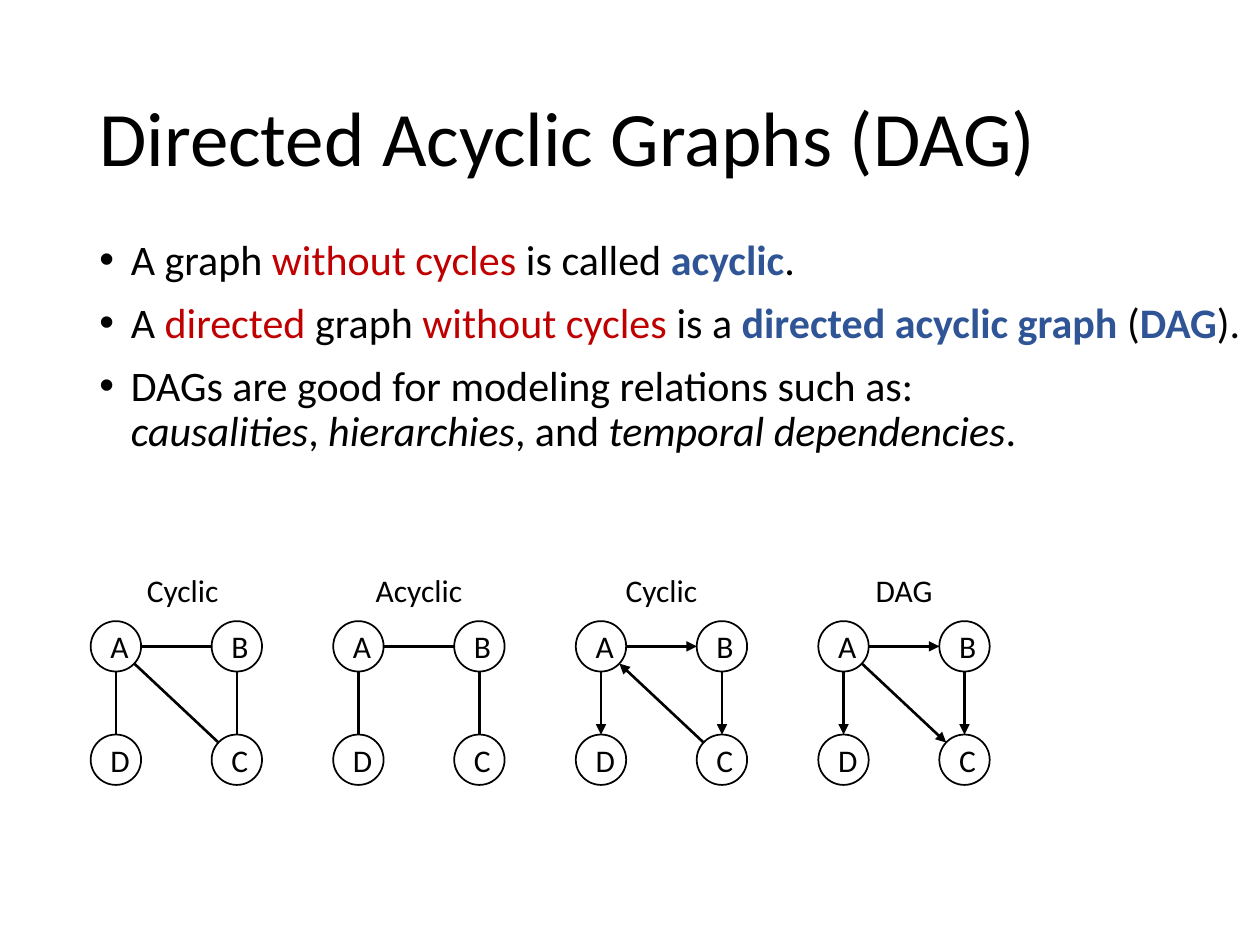
from dataclasses import dataclass
from math import hypot

from lxml.etree import SubElement
from pptx import Presentation
from pptx.dml.color import RGBColor
from pptx.enum.shapes import MSO_CONNECTOR, MSO_SHAPE
from pptx.enum.text import MSO_ANCHOR, PP_ALIGN
from pptx.oxml.ns import qn
from pptx.shapes.group import GroupShape
from pptx.slide import Slide
from pptx.text.text import TextFrame, _Paragraph
from pptx.util import Inches, Pt


@dataclass(frozen=True)
class Theme:
    font: str = "Calibri"
    ink: str = "000000"
    paper: str = "FFFFFF"
    red: str = "C00000"
    blue: str = "2F5597"
    title: int = 44
    body: int = 24
    label: int = 18
    rim: float = 1
    edge: float = 1.5


@dataclass(frozen=True)
class Span:
    text: str
    color: str = Theme.ink
    bold: bool = False
    slant: bool = False


@dataclass(frozen=True)
class Graph:
    label: str
    edges: tuple[str, ...]
    arrows: bool = False
    shift: float = 0


THEME = Theme()
SIZE = 0.4
LEFT, TOP, PITCH = 0.72, 4.93, 1.925
WIDE, HIGH = 0.96, 0.9
NODES = {"A": (0, 0), "D": (0, HIGH), "B": (WIDE, 0), "C": (WIDE, HIGH)}

GRAPHS = (
    Graph("Cyclic", ("AB", "BC", "AD", "AC"), shift=0.05),
    Graph("Acyclic", ("AB", "BC", "AD")),
    Graph("Cyclic", ("AB", "BC", "AD", "CA"), arrows=True),
    Graph("DAG", ("AB", "BC", "AD", "AC"), arrows=True),
)


def red(text: str) -> Span:
    return Span(text, THEME.red)


def term(text: str) -> Span:
    return Span(text, THEME.blue, bold=True)


def slant(text: str) -> Span:
    return Span(text, slant=True)


POINTS = (
    (Span("A graph "), red("without cycles"), Span(" is called "),
     term("acyclic"), Span(".")),
    (Span("A "), red("directed"), Span(" graph "), red("without cycles"),
     Span(" is a "), term("directed acyclic graph"), Span(" ("),
     term("DAG"), Span(").")),
    (Span("DAGs are good for modeling relations such as:\n"),
     slant("causalities"), Span(", "), slant("hierarchies"), Span(", and "),
     slant("temporal dependencies"), Span(".")),
)


def write(para: _Paragraph, span: Span, size: int) -> None:
    for n, line in enumerate(span.text.split("\n")):
        if n:
            para.add_line_break()
        if not line:
            continue
        run = para.add_run()
        run.text = line
        font = run.font
        font.name, font.size = THEME.font, Pt(size)
        font.bold, font.italic = span.bold, span.slant
        font.color.rgb = RGBColor.from_string(span.color)


def bullet(para: _Paragraph) -> None:
    para.line_spacing = 0.9
    para.space_before = Pt(10)
    props = para._p.get_or_add_pPr()
    props.set("marL", str(Inches(0.25)))
    props.set("indent", str(-Inches(0.25)))
    SubElement(props, qn("a:buFont"), typeface="Arial")
    SubElement(props, qn("a:buChar"), char="•")


def head(slide: Slide) -> None:
    box = slide.shapes.add_textbox(
        Inches(0.69), Inches(0.4), Inches(8.62), Inches(1.45))
    frame = box.text_frame
    frame.word_wrap = True
    frame.vertical_anchor = MSO_ANCHOR.MIDDLE
    frame.paragraphs[0].line_spacing = 0.9
    write(frame.paragraphs[0], Span("Directed Acyclic Graphs (DAG)"), THEME.title)


def body(slide: Slide) -> None:
    box = slide.shapes.add_textbox(
        Inches(0.69), Inches(1.85), Inches(9.31), Inches(5.25))
    frame = box.text_frame
    frame.word_wrap = True
    for n, spans in enumerate(POINTS):
        para = frame.add_paragraph() if n else frame.paragraphs[0]
        bullet(para)
        for span in spans:
            write(para, span, THEME.body)


def center(frame: TextFrame, text: str) -> None:
    para = frame.paragraphs[0]
    para.alignment = PP_ALIGN.CENTER
    write(para, Span(text), THEME.label)


def node(group: GroupShape, name: str, left: float) -> None:
    x, y = NODES[name]
    disc = group.shapes.add_shape(
        MSO_SHAPE.OVAL, Inches(left + x), Inches(TOP + y),
        Inches(SIZE), Inches(SIZE))
    disc.shadow.inherit = False
    disc.fill.solid()
    disc.fill.fore_color.rgb = RGBColor.from_string(THEME.paper)
    disc.line.color.rgb = RGBColor.from_string(THEME.ink)
    disc.line.width = Pt(THEME.rim)
    disc.text_frame.vertical_anchor = MSO_ANCHOR.MIDDLE
    center(disc.text_frame, name)


def edge(group: GroupShape, pair: str, left: float, arrow: bool) -> None:
    (x1, y1), (x2, y2) = (NODES[name] for name in pair)
    rad = SIZE / 2
    part = rad / hypot(x2 - x1, y2 - y1)
    dx, dy = (x2 - x1) * part, (y2 - y1) * part
    x, y = left + rad, TOP + rad
    link = group.shapes.add_connector(
        MSO_CONNECTOR.STRAIGHT, Inches(x + x1 + dx), Inches(y + y1 + dy),
        Inches(x + x2 - dx), Inches(y + y2 - dy))
    link.line.color.rgb = RGBColor.from_string(THEME.ink)
    link.line.width = Pt(THEME.edge)
    if arrow:
        SubElement(link.line._get_or_add_ln(), qn("a:tailEnd"), type="triangle")
    SubElement(link._element.spPr, qn("a:effectLst"))


def label(group: GroupShape, text: str, mid: float) -> None:
    width = 1
    box = group.shapes.add_textbox(
        Inches(mid - width / 2), Inches(4.48), Inches(width), Inches(0.4))
    box.text_frame.word_wrap = False
    center(box.text_frame, text)


def draw(slide: Slide, graph: Graph, left: float) -> None:
    group = slide.shapes.add_group_shape()
    for name in NODES:
        node(group, name, left)
    for pair in graph.edges:
        edge(group, pair, left, graph.arrows)
    label(group, graph.label, left + (WIDE + SIZE) / 2 + graph.shift)


def main() -> None:
    deck = Presentation()
    deck.slide_width, deck.slide_height = Inches(10), Inches(7.5)
    slide = deck.slides.add_slide(deck.slide_layouts[6])
    head(slide)
    body(slide)
    for n, graph in enumerate(GRAPHS):
        draw(slide, graph, LEFT + n * PITCH)
    deck.save("out.pptx")


if __name__ == "__main__":
    main()
